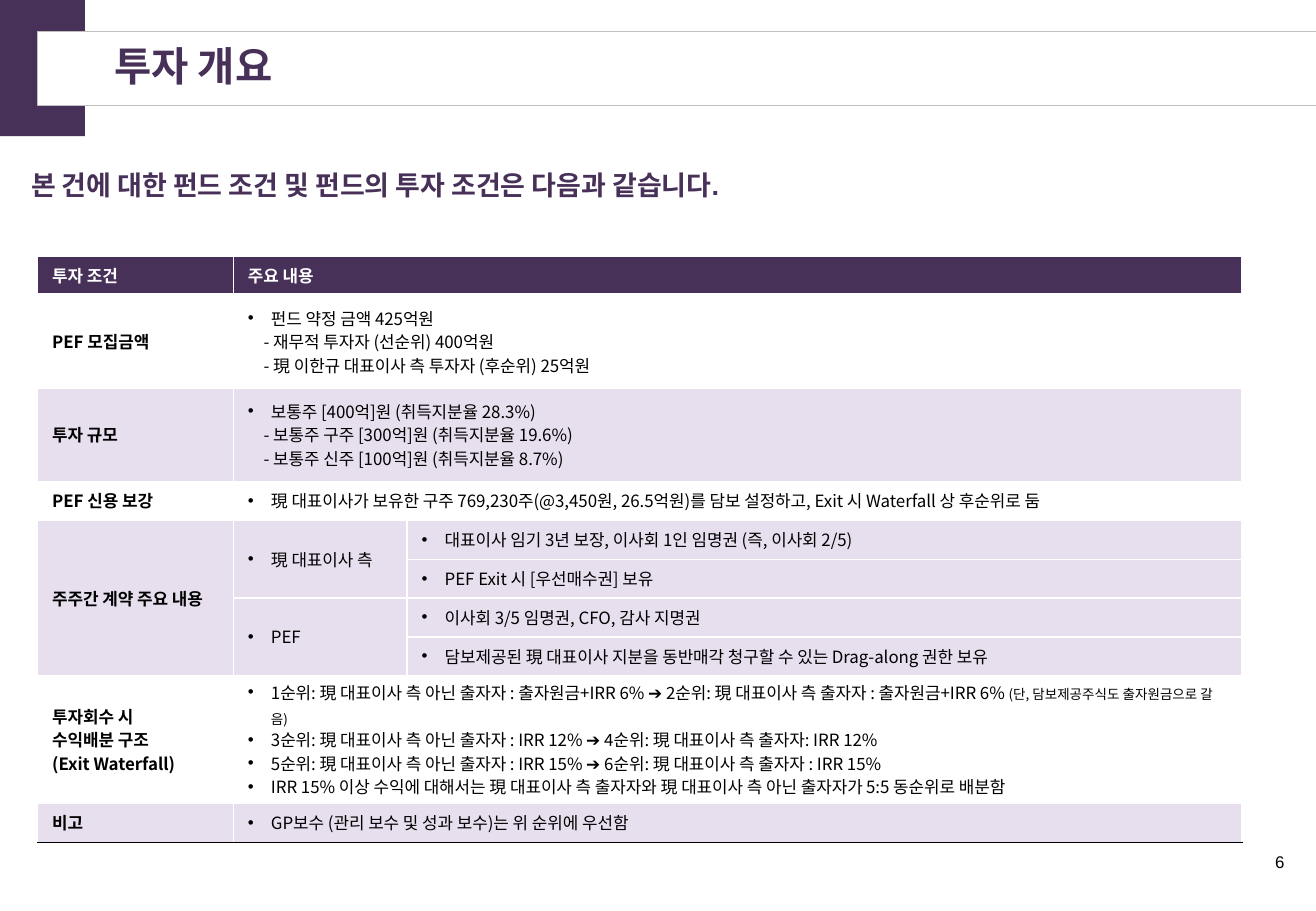
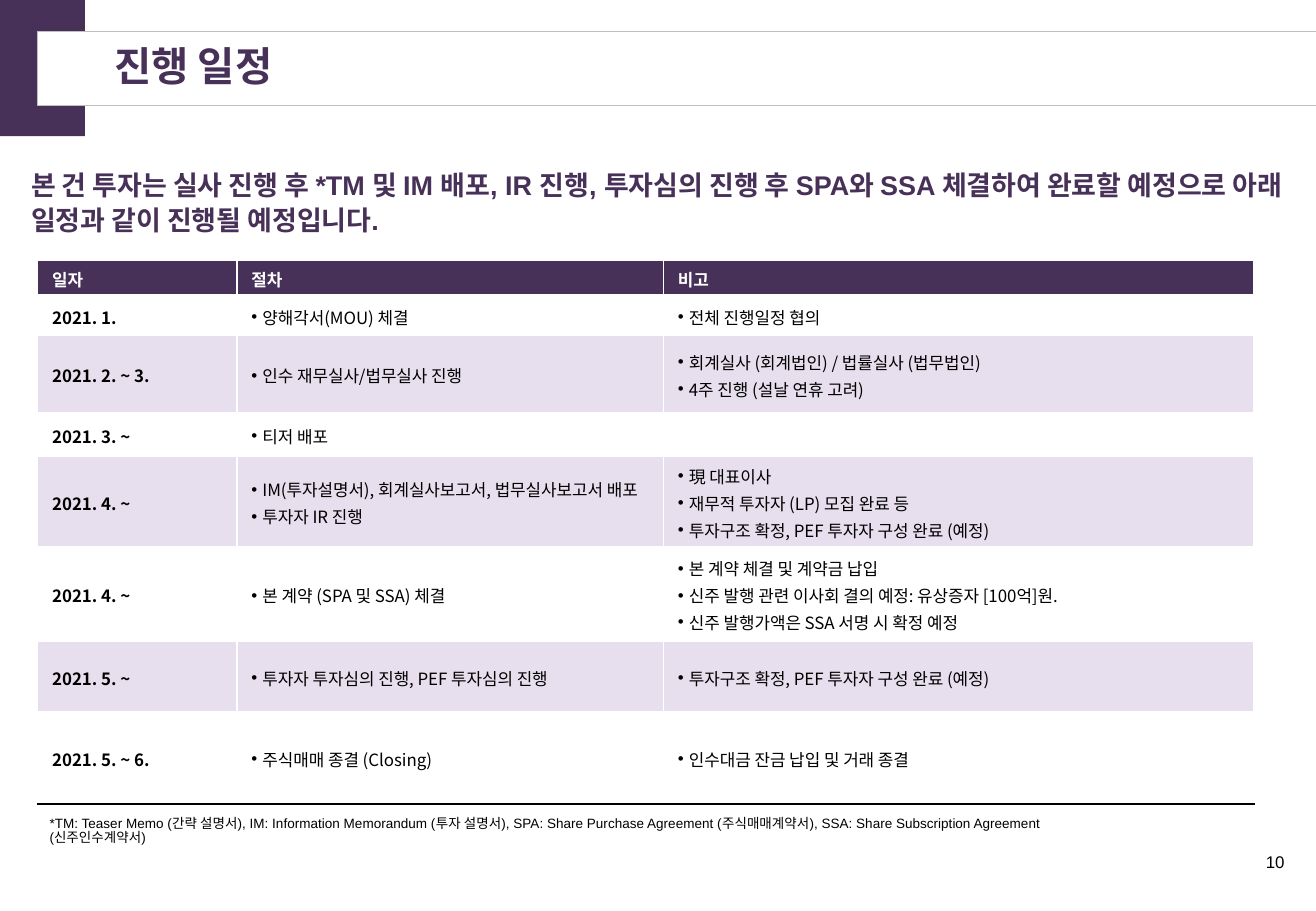
from dataclasses import dataclass

from lxml import etree
from pptx import Presentation
from pptx.dml.color import RGBColor
from pptx.enum.shapes import MSO_SHAPE
from pptx.enum.text import MSO_ANCHOR, MSO_AUTO_SIZE, PP_ALIGN
from pptx.oxml.ns import qn
from pptx.util import Inches, Pt

RECTANGLE = MSO_SHAPE.RECTANGLE
MIDDLE, BOTTOM, TOP = MSO_ANCHOR.MIDDLE, MSO_ANCHOR.BOTTOM, MSO_ANCHOR.TOP
LEFT, RIGHT = PP_ALIGN.LEFT, PP_ALIGN.RIGHT

SLIDE_WIDTH, SLIDE_HEIGHT = 10.83, 7.5
MARGIN = 0.31
ROW = 0.32


@dataclass(frozen=True)
class Theme:
    dark: str = "483159"
    band: str = "E7DFEE"
    white: str = "FFFFFF"
    black: str = "000000"
    outline: str = "BFBFBF"
    latin: str = "Arial"
    korean: str = "Noto Sans CJK KR"
    title: float = 24
    lead: float = 16
    text: float = 10
    note: float = 8


THEME = Theme()


@dataclass(frozen=True)
class TableStyle:
    top: float
    columns: tuple
    rows: tuple
    shaded: tuple
    leading: float
    hanging: float
    margins: tuple  # left, top, right, bottom
    merges: tuple = ()  # (first row, first column, last row, last column)


TERMS_STYLE = TableStyle(
    top=2.11,
    columns=(1.61, 1.43, 6.87),
    rows=tuple(ROW * units for units in (1, 2.4, 2.4, 1, 1, 1, 1, 1, 3, 1)),
    shaded=(2, 4, 5, 6, 7, 9),
    leading=14,
    hanging=0.19,
    margins=(0.12, 0.04, 0.1, 0.04),
    merges=tuple((row, 1, row, 2) for row in (0, 1, 2, 3, 8, 9))
    + ((4, 0, 7, 0), (4, 1, 5, 1), (6, 1, 7, 1)),
)

# Each cell is a list of paragraphs; a tuple adds a smaller second run.
TERMS = [
    [["투자 조건"], ["주요 내용"]],
    [["PEF 모집금액"], ["펀드 약정 금액 425억원", "- 재무적 투자자 (선순위) 400억원",
                    "- 現 이한규 대표이사 측 투자자 (후순위) 25억원"]],
    [["투자 규모"], ["보통주 [400억]원 (취득지분율 28.3%)",
                 "- 보통주 구주 [300억]원 (취득지분율 19.6%)",
                 "- 보통주 신주 [100억]원 (취득지분율 8.7%)"]],
    [["PEF 신용 보강"], ["現 대표이사가 보유한 구주 769,230주(@3,450원, 26.5억원)를 담보 설정하고, "
                     "Exit 시 Waterfall 상 후순위로 둠"]],
    [["주주간 계약 주요 내용"], ["現 대표이사 측"],
     ["대표이사 임기 3년 보장, 이사회 1인 임명권 (즉, 이사회 2/5)"]],
    [[], [], ["PEF Exit 시 [우선매수권] 보유"]],
    [[], ["PEF"], ["이사회 3/5 임명권, CFO, 감사 지명권"]],
    [[], [], ["담보제공된 現 대표이사 지분을 동반매각 청구할 수 있는 Drag-along 권한 보유"]],
    [["투자회수 시", "수익배분 구조", "(Exit Waterfall)"],
     [("1순위: 現 대표이사 측 아닌 출자자 : 출자원금+IRR 6% ➔ "
       "2순위: 現 대표이사 측 출자자 : 출자원금+IRR 6% ",
       "(단, 담보제공주식도 출자원금으로 갈음)"),
      "3순위: 現 대표이사 측 아닌 출자자 : IRR 12% ➔ 4순위: 現 대표이사 측 출자자: IRR 12%",
      "5순위: 現 대표이사 측 아닌 출자자 : IRR 15% ➔ 6순위: 現 대표이사 측 출자자 : IRR 15%",
      "IRR 15% 이상 수익에 대해서는 現 대표이사 측 출자자와 現 대표이사 측 아닌 출자자가 "
      "5:5 동순위로 배분함"]],
    [["비고"], ["GP보수 (관리 보수 및 성과 보수)는 위 순위에 우선함"]],
]

SCHEDULE_STYLE = TableStyle(
    top=2.14,
    columns=(1.64, 3.51, 4.86),
    rows=(0.3, 0.32, 0.64, 0.36, 0.74, 0.78, 0.58, 0.76),
    shaded=(2, 4, 6),
    leading=16,
    hanging=0.09,
    margins=(0.12, 0, 0.12, 0),
)

SCHEDULE = [
    [["일자"], ["절차"], ["비고"]],
    [["2021. 1."], ["양해각서(MOU) 체결"], ["전체 진행일정 협의"]],
    [["2021. 2. ~ 3."], ["인수 재무실사/법무실사 진행"],
     ["회계실사 (회계법인) / 법률실사 (법무법인)", "4주 진행 (설날 연휴 고려)"]],
    [["2021. 3. ~"], ["티저 배포"], []],
    [["2021. 4. ~"], ["IM(투자설명서), 회계실사보고서, 법무실사보고서 배포", "투자자 IR 진행"],
     ["現 대표이사", "재무적 투자자 (LP) 모집 완료 등", "투자구조 확정, PEF 투자자 구성 완료 (예정)"]],
    [["2021. 4. ~"], ["본 계약 (SPA 및 SSA) 체결"],
     ["본 계약 체결 및 계약금 납입", "신주 발행 관련 이사회 결의 예정: 유상증자 [100억]원.",
      "신주 발행가액은 SSA 서명 시 확정 예정"]],
    [["2021. 5. ~"], ["투자자 투자심의 진행, PEF 투자심의 진행"],
     ["투자구조 확정, PEF 투자자 구성 완료 (예정)"]],
    [["2021. 5. ~ 6."], ["주식매매 종결 (Closing)"], ["인수대금 잔금 납입 및 거래 종결"]],
]


def rgb(value):
    return RGBColor.from_string(value)


def place(shape, left, top, width, height):
    shape.left, shape.top = Inches(left), Inches(top)
    shape.width, shape.height = Inches(width), Inches(height)


def add_run(paragraph, text, size, color, bold=False, latin=THEME.latin):
    run = paragraph.add_run()
    run.text = text
    font = run.font
    font.size, font.bold, font.name = Pt(size), bold, latin
    font.color.rgb = rgb(color)
    etree.SubElement(font._element, qn("a:ea"), typeface=THEME.korean)


def set_indent(paragraph, left=0, first=0, bullet=None):
    properties = paragraph._p.get_or_add_pPr()
    properties.set("marL", str(Inches(left)))
    properties.set("indent", str(Inches(first)))
    if bullet:
        etree.SubElement(properties, qn("a:buFont"), typeface=THEME.latin)
        etree.SubElement(properties, qn("a:buChar"), char=bullet)
    else:
        etree.SubElement(properties, qn("a:buNone"))


def write_line(shape, text, size, color, spacing=1.0, align=LEFT, anchor=TOP,
               margins=(0.1, 0.05, 0.1, 0.05), **run_format):
    """Write one unbulleted paragraph into a placeholder or text box."""
    frame = shape.text_frame
    frame.word_wrap, frame.auto_size = True, MSO_AUTO_SIZE.NONE
    frame.vertical_anchor = anchor
    (frame.margin_left, frame.margin_top,
     frame.margin_right, frame.margin_bottom) = map(Inches, margins)
    paragraph = frame.paragraphs[0]
    set_indent(paragraph)
    paragraph.alignment, paragraph.line_spacing = align, spacing
    paragraph.space_before = Pt(0)
    add_run(paragraph, text, size, color, **run_format)


def add_text_box(slide, box, text, size, **line_format):
    shape = slide.shapes.add_textbox(0, 0, 0, 0)
    place(shape, *box)
    write_line(shape, text, size, THEME.black, **line_format)


def add_corner_block(slide):
    """Put the corner block on the layout, so that every slide shows it."""
    block = slide.shapes.add_shape(RECTANGLE, 0, 0, Inches(0.7), Inches(1.12))
    block.shadow.inherit = False
    block.fill.solid()
    block.fill.fore_color.rgb = rgb(THEME.dark)
    block.line.fill.background()
    slide.slide_layout.shapes._spTree.insert(2, block._element)


def add_content_slide(presentation, title, lead, number):
    slide = presentation.slides.add_slide(presentation.slide_layouts[1])
    heading, body = slide.shapes.title, slide.placeholders[1]
    place(heading, MARGIN, 0.26, SLIDE_WIDTH - MARGIN, 0.61)
    heading.fill.solid()
    heading.fill.fore_color.rgb = rgb(THEME.white)
    heading.line.color.rgb = rgb(THEME.outline)
    heading.line.width = Pt(0.25)
    write_line(heading, title, THEME.title, THEME.dark, spacing=0.9, anchor=MIDDLE,
               margins=(0.63, 0, 0.1, 0), bold=True, latin=THEME.korean)
    place(body, MARGIN / 2, 1.31, SLIDE_WIDTH - MARGIN, 0.61)
    write_line(body, lead, THEME.lead, THEME.dark, spacing=1.1, bold=True)
    add_text_box(slide, (9.67, 6.96, 1, 0.27), str(number), THEME.text, align=RIGHT)
    return slide


def set_borders(cell, row, last_row):
    lines = {"lnL": (THEME.white, 1), "lnR": (THEME.white, 1),
             "lnT": (THEME.white, 3 if row == 1 else 1),
             "lnB": (THEME.white, 3 if row == 0 else 1)}
    if row == last_row:
        lines["lnB"] = (THEME.black, 0.75)
    properties = cell._tc.get_or_add_tcPr()
    for tag, (color, width) in lines.items():
        line = etree.SubElement(properties, qn("a:" + tag), w=str(Pt(width)))
        fill = etree.SubElement(line, qn("a:solidFill"))
        etree.SubElement(fill, qn("a:srgbClr"), val=color)


def fill_cell(cell, paragraphs, style, plain, color):
    """Write the paragraphs: bold when plain, otherwise as bullets and dashes."""
    frame = cell.text_frame
    for index, content in enumerate(paragraphs or [()]):
        paragraph = frame.paragraphs[0] if index == 0 else frame.add_paragraph()
        runs = (content,) if isinstance(content, str) else content
        if plain or not runs:
            set_indent(paragraph)
        elif runs[0].startswith("- "):
            set_indent(paragraph, left=0.13)
        else:
            set_indent(paragraph, style.hanging, -style.hanging, "•")
        paragraph.line_spacing = Pt(style.leading)
        for text, size in zip(runs, (THEME.text, THEME.note)):
            add_run(paragraph, text, size, color, bold=plain, latin=THEME.korean)


def add_styled_table(slide, content, style):
    frame = slide.shapes.add_table(
        len(style.rows), len(style.columns), Inches(MARGIN), Inches(style.top),
        Inches(sum(style.columns)), Inches(sum(style.rows)))
    table = frame.table
    table.horz_banding = False
    for column, width in zip(table.columns, style.columns):
        column.width = Inches(width)
    for row, height in zip(table.rows, style.rows):
        row.height = Inches(height)
    for first_row, first_column, last_row, last_column in style.merges:
        table.cell(first_row, first_column).merge(table.cell(last_row, last_column))
    for row, entries in enumerate(content):
        header = row == 0
        background = THEME.band if row in style.shaded else THEME.white
        for column in range(len(style.columns)):
            cell = table.cell(row, column)
            set_borders(cell, row, len(content) - 1)
            cell.fill.solid()
            cell.fill.fore_color.rgb = rgb(THEME.dark if header else background)
            cell.vertical_anchor = MIDDLE
            (cell.margin_left, cell.margin_top,
             cell.margin_right, cell.margin_bottom) = map(Inches, style.margins)
            fill_cell(cell, entries[column] if column < len(entries) else [], style,
                      plain=header or column == 0,
                      color=THEME.white if header else THEME.black)


def main():
    presentation = Presentation()
    presentation.slide_width = Inches(SLIDE_WIDTH)
    presentation.slide_height = Inches(SLIDE_HEIGHT)

    terms = add_content_slide(
        presentation, "투자 개요", "본 건에 대한 펀드 조건 및 펀드의 투자 조건은 다음과 같습니다.", 6)
    add_corner_block(terms)
    add_styled_table(terms, TERMS, TERMS_STYLE)

    schedule = add_content_slide(
        presentation, "진행 일정",
        "본 건 투자는 실사 진행 후 *TM 및 IM 배포, IR 진행, 투자심의 진행 후 SPA와 SSA "
        "체결하여 완료할 예정으로 아래 일정과 같이 진행될 예정입니다.", 10)
    add_styled_table(schedule, SCHEDULE, SCHEDULE_STYLE)
    add_text_box(
        schedule, (MARGIN, 6.56, 9.07, 0.45),
        "*TM: Teaser Memo (간략 설명서), IM: Information Memorandum (투자 설명서), "
        "SPA: Share Purchase Agreement (주식매매계약서), "
        "SSA: Share Subscription Agreement (신주인수계약서)",
        THEME.note, spacing=0.9, anchor=BOTTOM)

    presentation.save("out.pptx")


if __name__ == "__main__":
    main()
